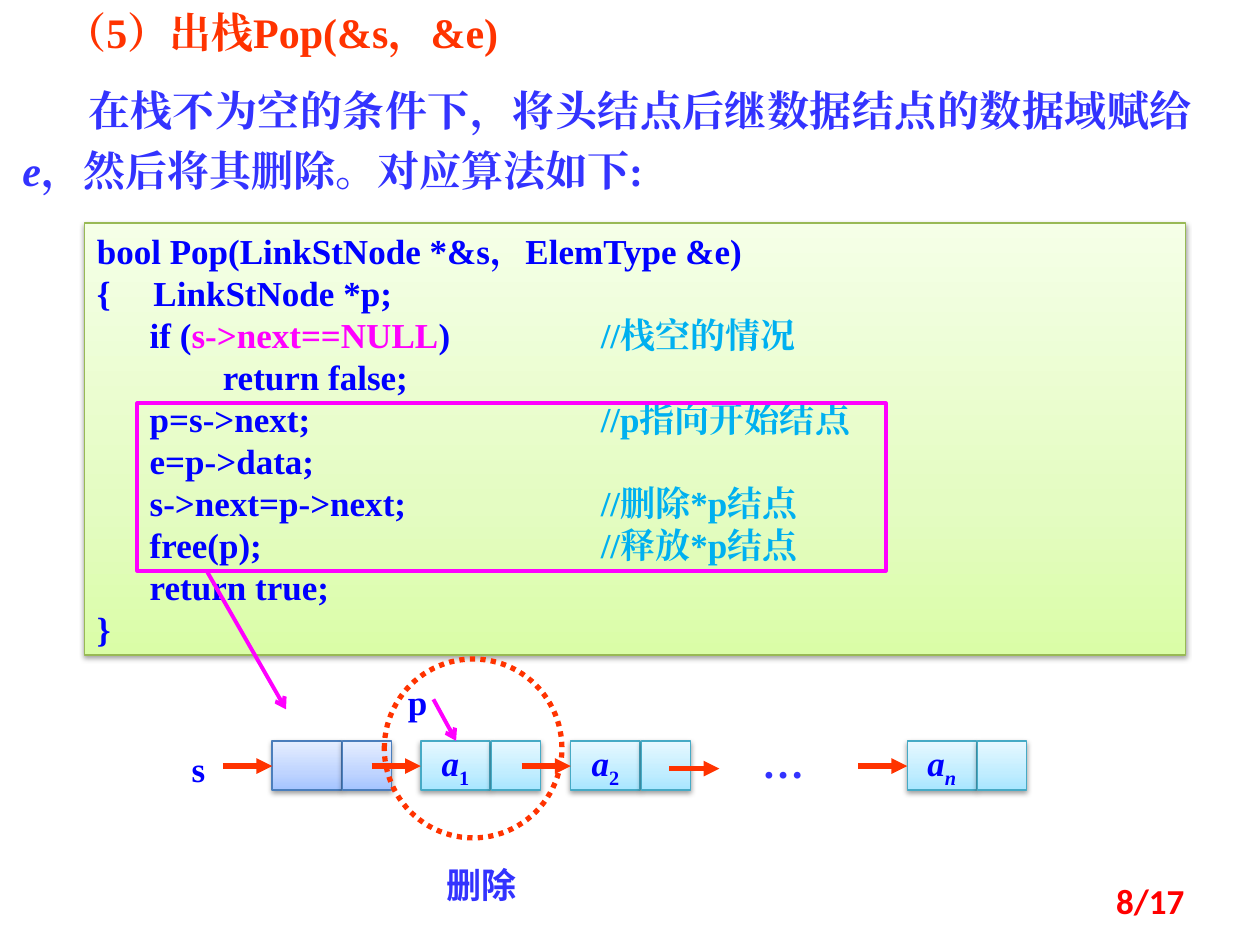
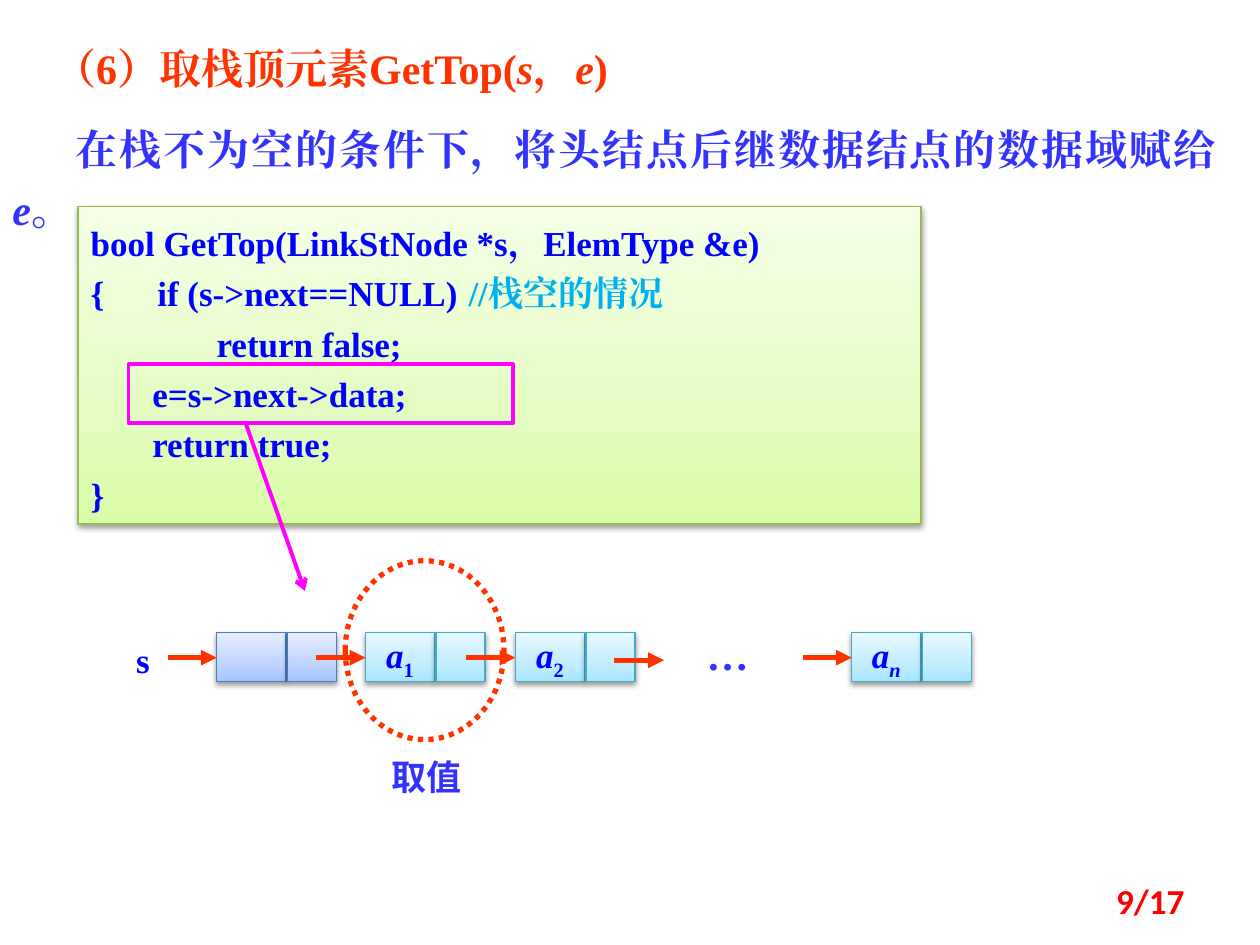
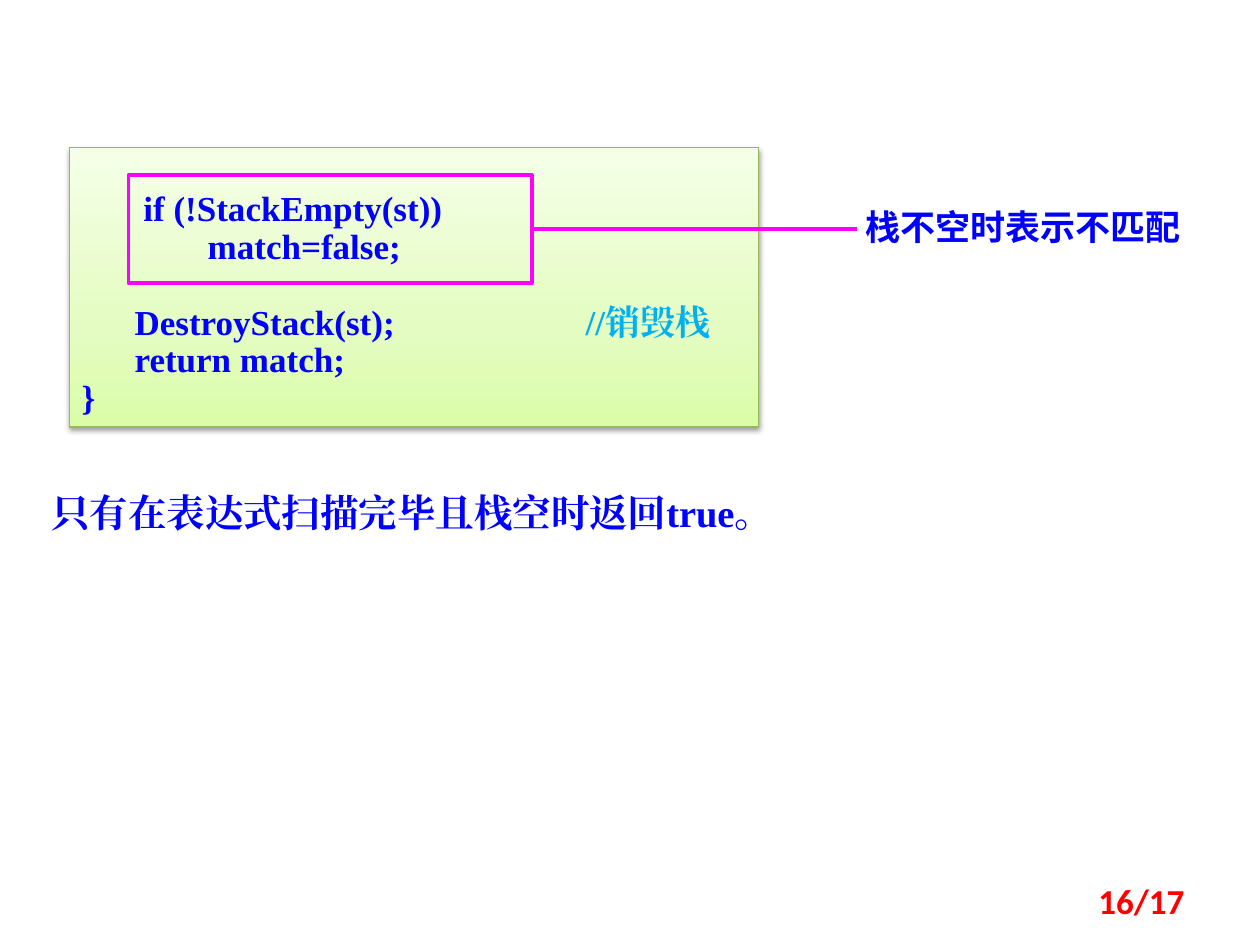
"""Build three slides on linked-stack operations and bracket matching."""
from lxml import etree
from pptx import Presentation
from pptx.dml.color import RGBColor
from pptx.enum.dml import MSO_LINE
from pptx.enum.shapes import MSO_CONNECTOR, MSO_SHAPE
from pptx.enum.text import MSO_ANCHOR, MSO_AUTO_SIZE, PP_ALIGN
from pptx.oxml import parse_xml
from pptx.oxml.ns import nsdecls, qn
from pptx.util import Inches, Pt

RECT, OVAL = MSO_SHAPE.RECTANGLE, MSO_SHAPE.OVAL
STRAIGHT, DOTS = MSO_CONNECTOR.STRAIGHT, MSO_LINE.ROUND_DOT
TOP, MIDDLE = MSO_ANCHOR.TOP, MSO_ANCHOR.MIDDLE
LEFT, CENTER = PP_ALIGN.LEFT, PP_ALIGN.CENTER
RIGHT, JUSTIFY = PP_ALIGN.RIGHT, PP_ALIGN.JUSTIFY
FIXED = MSO_AUTO_SIZE.NONE

BLUE = RGBColor(0x00, 0x00, 0xFF)
INDIGO = RGBColor(0x33, 0x33, 0xFF)
SKY = RGBColor(0x00, 0xB0, 0xF0)
PINK = RGBColor(0xFF, 0x00, 0xFF)
ORANGE = RGBColor(0xFF, 0x33, 0x00)
RED = RGBColor(0xFF, 0x00, 0x00)
GREEN_EDGE = RGBColor(0x98, 0xB9, 0x55)
HEAD_EDGE = RGBColor(0x4B, 0x7E, 0xBC)
NODE_EDGE = RGBColor(0x46, 0xAA, 0xC5)
GREEN = ("DAFDA7", "E4FCC2", "F5FFE7")
HEAD = ("A4C4FF", "BFD4FF", "E6EEFF")
NODE = ("A7E6FF", "C1EDFF", "E7F8FF")
SERIF, SANS, PLAIN = "Times New Roman", "Noto Sans CJK SC", "Calibri"

PAGES = [
    {
        "page": "8/17",
        "title": (0.41, 0, [("（5）出栈Pop(&s，&e)", ORANGE)]),
        "body": (0.08, 0.54, 9.48, 0.52, [
            ("在栈不为空的条件下，将头结点后继数据结点的数据域赋给", INDIGO),
            ("e", INDIGO, True), ("，然后将其删除。对应算法如下:", INDIGO)]),
        "box": (0.67, 1.77, 8.74, 3.43), "space": 1.0, "note": 4,
        "code": [
            (0, [("bool Pop(LinkStNode *&s，ElemType &e)", BLUE)]),
            (0.45, [("{\tLinkStNode *p;", BLUE)]),
            (0.42, [("\tif (", BLUE), ("s->next==NULL", PINK), (")\t", BLUE),
                    ("//栈空的情况", SKY)]),
            (1, [("\treturn false;", BLUE)]),
            (0.42, [("\tp=s->next;\t", BLUE), ("//p指向开始结点", SKY)]),
            (0.42, [("\te=p->data;", BLUE)]),
            (0.42, [("\ts->next=p->next;\t", BLUE), ("//删除*p结点", SKY)]),
            (0.42, [("\tfree(p);\t", BLUE), ("//释放*p结点", SKY)]),
            (0.42, [("\treturn true;", BLUE)]),
            (0, [("}", BLUE)])],
        "chain": (2.16, 5.88),
        "ring": (3.05, 5.23, 1.41, 1.42),
        "frame": (1.09, 3.2, 5.94, 1.33),
        "labels": [(3.28, 6.8, 1.09, "删除", SANS, INDIGO, MIDDLE),
                   (3.12, 5.35, 0.39, "p", SERIF, BLUE, TOP)],
        "links": [(3.44, 5.55, 3.62, 5.88, "arrow"),
                  (1.64, 4.53, 2.27, 5.63, "arrow")],
    },
    {
        "page": "9/17",
        "title": (0.33, 0.29, [("（6）取栈顶元素GetTop(", ORANGE), ("s", ORANGE, True),
                               ("，", ORANGE), ("e", ORANGE, True), (")", ORANGE)]),
        "body": (0, 0.85, 9.75, 0.5, [
            ("在栈不为空的条件下，将头结点后继数据结点的数据域赋给", INDIGO),
            ("e", INDIGO, True), ("。", INDIGO)]),
        "box": (0.62, 1.64, 6.69, 2.52), "space": 1.2, "note": 3,
        "code": [
            (0, [("bool GetTop(LinkStNode *s，ElemType &e)", BLUE)]),
            (0.53, [("{\tif (s->next==NULL)\t", BLUE), ("//栈空的情况", SKY)]),
            (1, [("\treturn false;", BLUE)]),
            (0.49, [("\te=s->next->data;", BLUE)]),
            (0.49, [("\treturn true;", BLUE)]),
            (0, [("}", BLUE)])],
        "chain": (1.72, 5.02),
        "ring": (2.74, 4.45, 1.26, 1.42),
        "frame": (1.02, 2.89, 3.05, 0.47),
        "labels": [(2.84, 5.94, 1.09, "取值", SANS, INDIGO, MIDDLE)],
        "links": [(1.95, 3.36, 2.42, 4.69, "arrow")],
    },
    {
        "page": "16/17",
        "body": (0.31, 3.83, 7.27, 0, [("只有在表达式扫描完毕且栈空时返回true。", BLUE)]),
        "box": (0.55, 1.17, 5.47, 2.22), "space": 0.9, "note": 4,
        "code": [
            (0.49, [("\tif (!StackEmpty(st))", BLUE)]),
            (1, [("\tmatch=false;", BLUE)]),
            (0.42, [("\tDestroyStack(st);\t", BLUE), ("//销毁栈", SKY)]),
            (0.42, [("\treturn match;", BLUE)]),
            (0, [("}", BLUE)])],
        "frame": (1.02, 1.39, 3.2, 0.86),
        "labels": [(6.48, 1.58, 3.28, "栈不空时表示不匹配", SANS, BLUE, MIDDLE)],
        "links": [(4.22, 1.82, 6.8, 1.82, None)],
    },
]


def write(frame, rows, size=20, align=CENTER, font=SERIF, anchor=TOP, wrap=True):
    """Fill a text frame with rows of (text, colour, italic, baseline) runs."""
    frame.word_wrap = wrap
    frame.auto_size = FIXED
    frame.vertical_anchor = anchor
    for at, row in enumerate(rows):
        para = frame.paragraphs[0] if at == 0 else frame.add_paragraph()
        para.alignment = align
        for text, ink, *more in row:
            run = para.add_run()
            run.text = text
            run.font.name = font
            run.font.size = Pt(size)
            run.font.bold = True
            run.font.italic = bool(more and more[0])
            run.font.color.rgb = ink
            props = run._r.get_or_add_rPr()
            etree.SubElement(props, qn("a:ea")).set("typeface", font)
            if len(more) > 1:
                props.set("baseline", str(more[1]))


def panel(slide, rect, stops, edge):
    """Add a rectangle with an upward gradient and a soft shadow."""
    shape = slide.shapes.add_shape(RECT, *map(Inches, rect))
    shape.shadow.inherit = False
    shape.line.color.rgb = edge
    shape.line.width = Pt(0.75)
    props = shape._element.spPr
    marks = "".join(f'<a:gs pos="{pos}"><a:srgbClr val="{tint}"/></a:gs>'
                    for pos, tint in zip((0, 35000, 100000), stops))
    props.find(qn("a:prstGeom")).addnext(parse_xml(
        f'<a:gradFill {nsdecls("a")} rotWithShape="1"><a:gsLst>{marks}</a:gsLst>'
        '<a:lin ang="16200000" scaled="0"/></a:gradFill>'))
    props.find(qn("a:effectLst")).append(parse_xml(
        f'<a:outerShdw {nsdecls("a")} blurRad="{Pt(3.1)}" dist="{Pt(1.6)}" '
        'dir="5400000" rotWithShape="0"><a:srgbClr val="000000">'
        '<a:alpha val="38000"/></a:srgbClr></a:outerShdw>'))
    return shape


deck = Presentation()
deck.slide_width, deck.slide_height = Inches(10), Inches(7.5)

for page in PAGES:
    titled = "title" in page
    slide = deck.slides.add_slide(deck.slide_layouts[5 if titled else 6])
    shapes = slide.shapes

    if titled:
        left, top, runs = page["title"]
        head = shapes.title
        head.left, head.top = Inches(left), Inches(top)
        head.width, head.height = Inches(9), Inches(0.5)
        write(head.text_frame, [runs], 24, LEFT)

    left, top, width, indent, runs = page["body"]
    body = shapes.add_textbox(Inches(left), Inches(top), Inches(width),
                              Inches(1.1 if titled else 0.47)).text_frame
    write(body, [runs], 24 if titled else 22, JUSTIFY if titled else LEFT)
    if titled:
        body.paragraphs[0].line_spacing = 1.2
        body.paragraphs[0]._p.get_or_add_pPr().set("indent", str(Inches(indent)))

    code = panel(slide, page["box"], GREEN, GREEN_EDGE).text_frame
    write(code, [runs for stop, runs in page["code"]], 20, LEFT)
    for para, (stop, runs) in zip(code.paragraphs, page["code"]):
        para.line_spacing = page["space"]
        tabs = etree.SubElement(para._p.get_or_add_pPr(), qn("a:tabLst"))
        for pos in (stop, page["note"]):
            if pos:
                etree.SubElement(tabs, qn("a:tab"), pos=str(Inches(pos)), algn="l")
    if not titled:
        code.margin_top = Inches(0.35)
        code.paragraphs[2].space_before = Pt(21.6)

    labels = list(page["labels"])
    links = [(*link, PINK, 2.25) for link in page["links"]]
    frames = [(RECT, page["frame"], PINK, 2.25)]

    if "chain" in page:
        left, top = page["chain"]
        mid = top + 0.2
        for step, name, sub in ((0, "", ""), (1.18, "a", "1"),
                                (2.37, "a", "2"), (5.04, "a", "n")):
            look = (NODE, NODE_EDGE) if name else (HEAD, HEAD_EDGE)
            start = left + step
            data = panel(slide, (start, top, 0.55, 0.39), *look)
            panel(slide, (start + 0.56, top, 0.39, 0.39), *look)
            if name:
                write(data.text_frame, [[(name, BLUE, True), (sub, BLUE, sub == "n", -25000)]],
                      anchor=MIDDLE, wrap=False)
            links.append((start - 0.39, mid, start, mid, "triangle", ORANGE, 3))
        links.append((left + 3.15, mid + 0.02, left + 3.55, mid + 0.02,
                      "triangle", ORANGE, 3))
        labels.append((left - 0.78, top, 0.39, "s", SERIF, BLUE, TOP))
        dots = shapes.add_textbox(Inches(left + 3.78), Inches(top - 0.08),
                                  Inches(0.55), Inches(0.5))
        write(dots.text_frame, [[("…", INDIGO)]], 24)
        frames.append((OVAL, page["ring"], ORANGE, 3))

    for kind, rect, ink, width in frames:
        frame = shapes.add_shape(kind, *map(Inches, rect))
        frame.shadow.inherit = False
        frame.fill.background()
        frame.line.color.rgb = ink
        frame.line.width = Pt(width)
        if kind == OVAL:
            frame.line.dash_style = DOTS

    for *ends, tip, ink, width in links:
        link = shapes.add_connector(STRAIGHT, *map(Inches, ends))
        link.line.color.rgb = ink
        link.line.width = Pt(width)
        if tip:
            etree.SubElement(link.line._get_or_add_ln(), qn("a:tailEnd"), type=tip)
        etree.SubElement(link._element.spPr, qn("a:effectLst"))

    for left, top, width, text, font, ink, anchor in labels:
        label = shapes.add_textbox(Inches(left), Inches(top), Inches(width), Inches(0.44))
        write(label.text_frame, [[(text, ink)]], font=font, anchor=anchor)

    foot = shapes.add_textbox(Inches(7.17), Inches(6.95), Inches(2.33), Inches(0.4))
    write(foot.text_frame, [[(page["page"], RED)]], align=RIGHT, font=PLAIN, anchor=MIDDLE)

deck.save("out.pptx")
